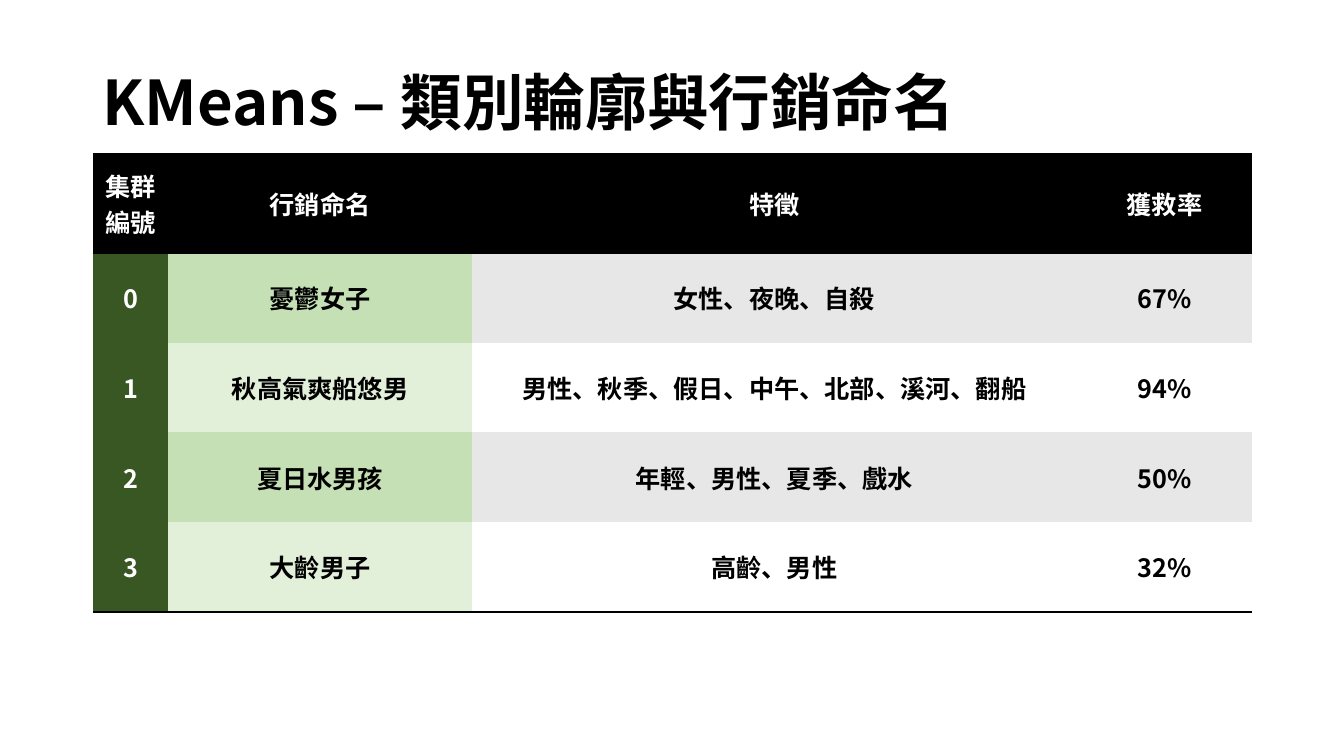
from dataclasses import dataclass

from lxml.etree import SubElement as Sub
from pptx import Presentation
from pptx.dml.color import RGBColor as Rgb
from pptx.enum.text import MSO_ANCHOR as Anchor, PP_ALIGN as Align
from pptx.oxml.ns import qn
from pptx.util import Inches, Pt


@dataclass(frozen=True)
class Theme:
    font: str = "Noto Sans CJK TC"
    title: int = 44
    body: int = 18
    rule: int = 2
    black: str = "000000"
    white: str = "FFFFFF"
    index: str = "385723"
    names: tuple[str, str] = ("C5E0B4", "E2F0D9")
    bands: tuple[str, str] = ("E7E7E7", "FFFFFF")


@dataclass(frozen=True)
class Group:
    name: str
    traits: str
    rate: str


THEME = Theme()
LEFT, WIDTH = 0.92, 11.5
COLS = (0.75, 3.01, 6, 1.74)
HEAD, ROW = 0.98, 0.89
PLAIN = "{2D5ABB26-0587-4C30-8999-92F81FD0307C}"
LABELS = ("集群編號", "行銷命名", "特徵", "獲救率")
GROUPS = (
    Group("憂鬱女子", "女性、夜晚、自殺", "67%"),
    Group("秋高氣爽船悠男", "男性、秋季、假日、中午、北部、溪河、翻船", "94%"),
    Group("夏日水男孩", "年輕、男性、夏季、戲水", "50%"),
    Group("大齡男子", "高齡、男性", "32%"),
)


def style(para, size: int, color: str) -> None:
    """Set the type for both Latin and East Asian letters."""
    font = para.font
    font.size, font.bold, font.name = Pt(size), True, THEME.font
    font.color.rgb = Rgb.from_string(color)
    latin = para._p.find(".//" + qn("a:latin"))
    east = Sub(latin.getparent(), qn("a:ea"), typeface=THEME.font)
    latin.addnext(east)


def rule(cell, side: str) -> None:
    """Draw a black border; side is T or B."""
    props = cell._tc.get_or_add_tcPr()
    line = Sub(props, qn(f"a:ln{side}"), w=str(Pt(THEME.rule)))
    fill = Sub(line, qn("a:solidFill"))
    Sub(fill, qn("a:srgbClr"), val=THEME.black)
    props.insert(0, line)


def write(cell, text: str, fill: str, color: str) -> None:
    cell.text = text
    cell.vertical_anchor = Anchor.MIDDLE
    cell.fill.solid()
    cell.fill.fore_color.rgb = Rgb.from_string(fill)
    para = cell.text_frame.paragraphs[0]
    para.alignment = Align.CENTER
    style(para, THEME.body, color)


def add_title(slide, text: str) -> None:
    box = slide.shapes.add_textbox(
        Inches(LEFT), Inches(0.64), Inches(WIDTH), Inches(0.81)
    )
    frame = box.text_frame
    frame.word_wrap = True
    frame.vertical_anchor = Anchor.MIDDLE
    para = frame.paragraphs[0]
    para.text = text
    para.line_spacing = 0.9
    style(para, THEME.title, THEME.black)


def add_grid(slide) -> None:
    count = len(GROUPS)
    table = slide.shapes.add_table(
        count + 1, len(COLS), Inches(LEFT), Inches(1.53),
        Inches(WIDTH), Inches(HEAD + count * ROW),
    ).table
    table._tbl.tblPr.find(qn("a:tableStyleId")).text = PLAIN
    for col, width in zip(table.columns, COLS):
        col.width = Inches(width)
    for num, row in enumerate(table.rows):
        row.height = Inches(ROW if num else HEAD)

    for col, label in enumerate(LABELS):
        cell = table.cell(0, col)
        write(cell, label, THEME.black, THEME.white)
        rule(cell, "B")
        rule(cell, "T")
        rule(table.cell(count, col), "B")

    for num, group in enumerate(GROUPS):
        band = THEME.bands[num % 2]
        texts = (str(num), group.name, group.traits, group.rate)
        fills = (THEME.index, THEME.names[num % 2], band, band)
        for col, (text, fill) in enumerate(zip(texts, fills)):
            color = THEME.black if col else THEME.white
            write(table.cell(num + 1, col), text, fill, color)


def main() -> None:
    deck = Presentation()
    deck.slide_width, deck.slide_height = Inches(13.33), Inches(7.5)
    slide = deck.slides.add_slide(deck.slide_layouts[6])
    add_title(slide, "KMeans – 類別輪廓與行銷命名")
    add_grid(slide)
    deck.save("out.pptx")


if __name__ == "__main__":
    main()
